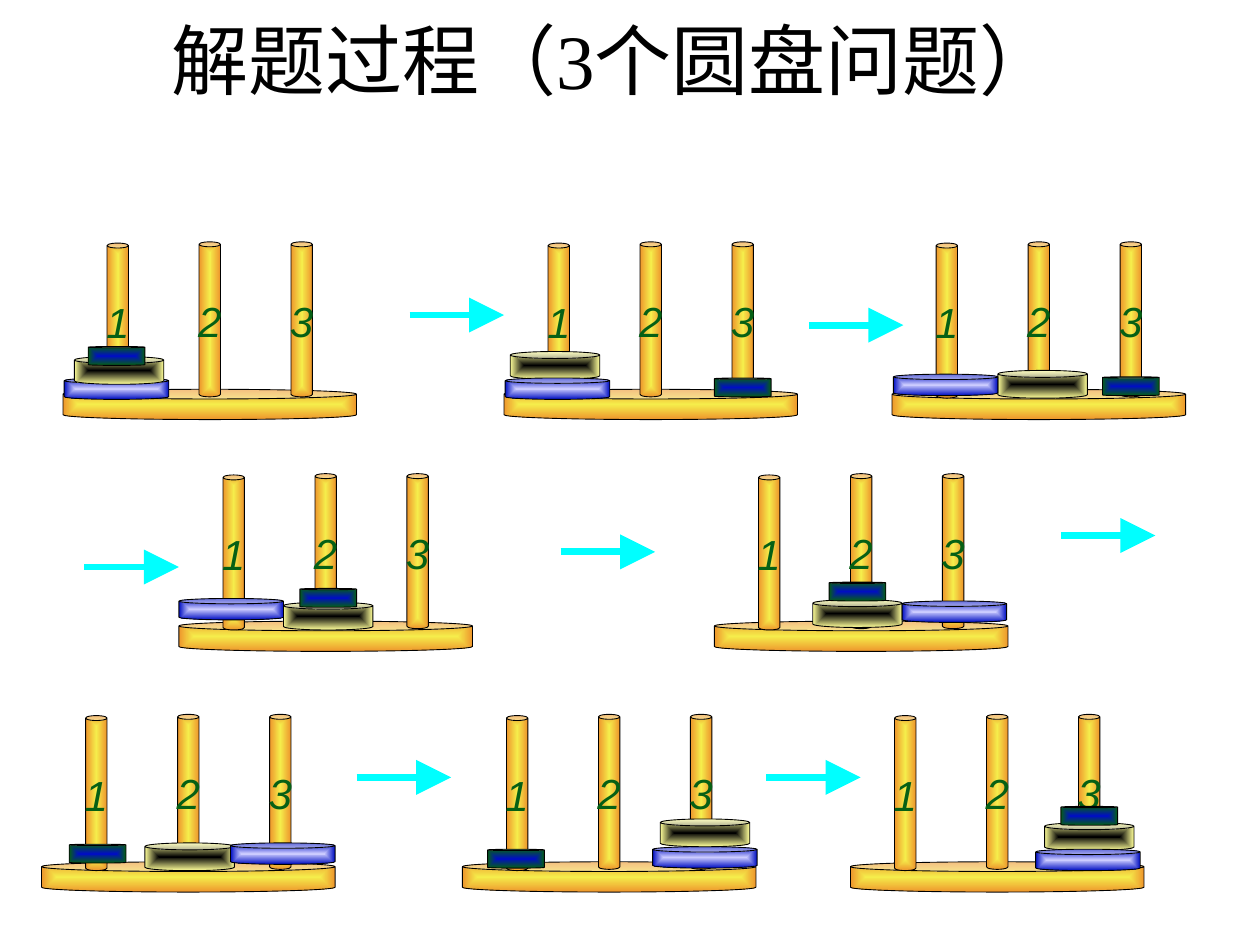
from dataclasses import dataclass

from lxml import etree
from pptx import Presentation
from pptx.dml.color import RGBColor
from pptx.enum.shapes import MSO_CONNECTOR, MSO_SHAPE
from pptx.enum.text import MSO_ANCHOR, PP_ALIGN
from pptx.oxml import parse_xml
from pptx.oxml.ns import nsdecls, qn
from pptx.util import Inches, Pt

CAN = MSO_SHAPE.CAN
STRAIGHT = MSO_CONNECTOR.STRAIGHT
CENTER = PP_ALIGN.CENTER
MIDDLE = MSO_ANCHOR.MIDDLE


@dataclass(frozen=True)
class Theme:
    title_color: str = "000000"
    label_color: str = "066015"
    outline: str = "000000"
    arrow: str = "00FFFF"
    wood: tuple = ("F5ED4B", "EE962C")
    title_font: str = "Times New Roman"
    label_font: str = "Arial"
    title_size: int = 44
    label_size: int = 24
    outline_width: float = 0.5
    arrow_width: float = 4


@dataclass(frozen=True)
class Disk:
    width: float
    height: float
    rim: float
    colors: tuple


SMALL = Disk(0.45, 0.15, 0.07, ("000EC2", "066015"))
MEDIUM = Disk(0.71, 0.22, 0.25, ("000000", "FFFF99"))
LARGE = Disk(0.83, 0.17, 0.25, ("CCCCFF", "000EC2"))

BASE_SIZE = (2.33, 0.24)
PEG_SIZE = (0.17, 1.23)
PEG_OFFSETS = ((0.35, -1.16), (1.08, -1.17), (1.81, -1.17))
ARROW_LENGTH = 0.75

# Base corner, then each disk with its corner, in drawing order
STATES = [
    ((0.5, 3.09), [(LARGE, 0.51, 3), (MEDIUM, 0.59, 2.83), (SMALL, 0.7, 2.75)]),
    ((4, 3.09), [(SMALL, 5.67, 3), (MEDIUM, 4.05, 2.79), (LARGE, 4.01, 3)]),
    ((7.08, 3.09), [(SMALL, 8.75, 2.99), (MEDIUM, 7.92, 2.94), (LARGE, 7.09, 2.97)]),
    ((1.42, 4.93), [(MEDIUM, 2.25, 4.78), (LARGE, 1.42, 4.75), (SMALL, 2.38, 4.67)]),
    ((5.67, 4.93), [(MEDIUM, 6.45, 4.76), (SMALL, 6.58, 4.62), (LARGE, 7.16, 4.77)]),
    ((0.33, 6.84), [(SMALL, 0.55, 6.7), (MEDIUM, 1.15, 6.69), (LARGE, 1.83, 6.69)]),
    ((3.67, 6.84), [(SMALL, 3.87, 6.74), (LARGE, 5.18, 6.72), (MEDIUM, 5.24, 6.5)]),
    ((6.75, 6.84), [(MEDIUM, 8.29, 6.53), (LARGE, 8.22, 6.74), (SMALL, 8.42, 6.4)]),
]
ARROW_STARTS = [(3.25, 2.5), (6.42, 2.58), (0.67, 4.5), (4.45, 4.38),
                (8.42, 4.25), (2.83, 6.17), (6.08, 6.17)]


class HanoiSlide:
    def __init__(self, slide, theme):
        self.slide = slide
        self.theme = theme

    def set_text(self, shape, text, font_name, size, color, italic=False):
        """Put one centred line of text in the shape."""
        frame = shape.text_frame
        frame.vertical_anchor = MIDDLE
        paragraph = frame.paragraphs[0]
        paragraph.text = text
        paragraph.alignment = CENTER
        font = paragraph.font
        font.name = font_name
        font.size = Pt(size)
        font.italic = italic
        font.color.rgb = RGBColor.from_string(color)
        return frame

    def title(self, text):
        box = self.slide.shapes.add_textbox(
            Inches(0.27), Inches(0.13), Inches(9.21), Inches(0.67))
        frame = self.set_text(box, text, self.theme.title_font,
                              self.theme.title_size, self.theme.title_color)
        frame.word_wrap = True

    def can(self, group, left, top, size, rim, colors):
        """Add a cylinder shaded from its centre to its edges."""
        width, height = size
        shape = group.shapes.add_shape(
            CAN, Inches(left), Inches(top), Inches(width), Inches(height))
        shape.adjustments[0] = rim
        shape.shadow.inherit = False
        shape.line.color.rgb = RGBColor.from_string(self.theme.outline)
        shape.line.width = Pt(self.theme.outline_width)
        inner, outer = colors
        gradient = parse_xml(
            f'<a:gradFill {nsdecls("a")} rotWithShape="1"><a:gsLst>'
            f'<a:gs pos="0"><a:srgbClr val="{inner}"/></a:gs>'
            f'<a:gs pos="100000"><a:srgbClr val="{outer}"/></a:gs></a:gsLst>'
            '<a:path path="rect"><a:fillToRect l="50000" t="50000" '
            'r="50000" b="50000"/></a:path></a:gradFill>')
        shape._element.spPr.find(qn("a:prstGeom")).addnext(gradient)
        return shape

    def peg(self, group, left, top, label):
        shape = self.can(group, left, top, PEG_SIZE, 0.23, self.theme.wood)
        frame = self.set_text(shape, label, self.theme.label_font,
                              self.theme.label_size, self.theme.label_color,
                              italic=True)
        frame.word_wrap = False
        frame.margin_left = frame.margin_right = 0

    def state(self, base, disks):
        """Draw the base, its three pegs and the disks as one group."""
        group = self.slide.shapes.add_group_shape()
        left, top = base
        self.can(group, left, top, BASE_SIZE, 0.32, self.theme.wood)
        for number, (across, down) in enumerate(PEG_OFFSETS, start=1):
            self.peg(group, left + across, top + down, str(number))
        for disk, disk_left, disk_top in disks:
            self.can(group, disk_left, disk_top, (disk.width, disk.height),
                     disk.rim, disk.colors)

    def arrow(self, left, top):
        connector = self.slide.shapes.add_connector(
            STRAIGHT, Inches(left), Inches(top),
            Inches(left + ARROW_LENGTH), Inches(top))
        connector.line.color.rgb = RGBColor.from_string(self.theme.arrow)
        connector.line.width = Pt(self.theme.arrow_width)
        etree.SubElement(connector.line._get_or_add_ln(), qn("a:tailEnd"),
                         type="triangle", w="lg", len="lg")
        etree.SubElement(connector._element.spPr, qn("a:effectLst"))


def main():
    presentation = Presentation()
    presentation.slide_width = Inches(10)
    presentation.slide_height = Inches(7.5)
    slide = presentation.slides.add_slide(presentation.slide_layouts[6])
    hanoi = HanoiSlide(slide, Theme())
    hanoi.title("解题过程（3个圆盘问题）")
    for base, disks in STATES:
        hanoi.state(base, disks)
    for left, top in ARROW_STARTS:
        hanoi.arrow(left, top)
    presentation.save("out.pptx")


if __name__ == "__main__":
    main()
